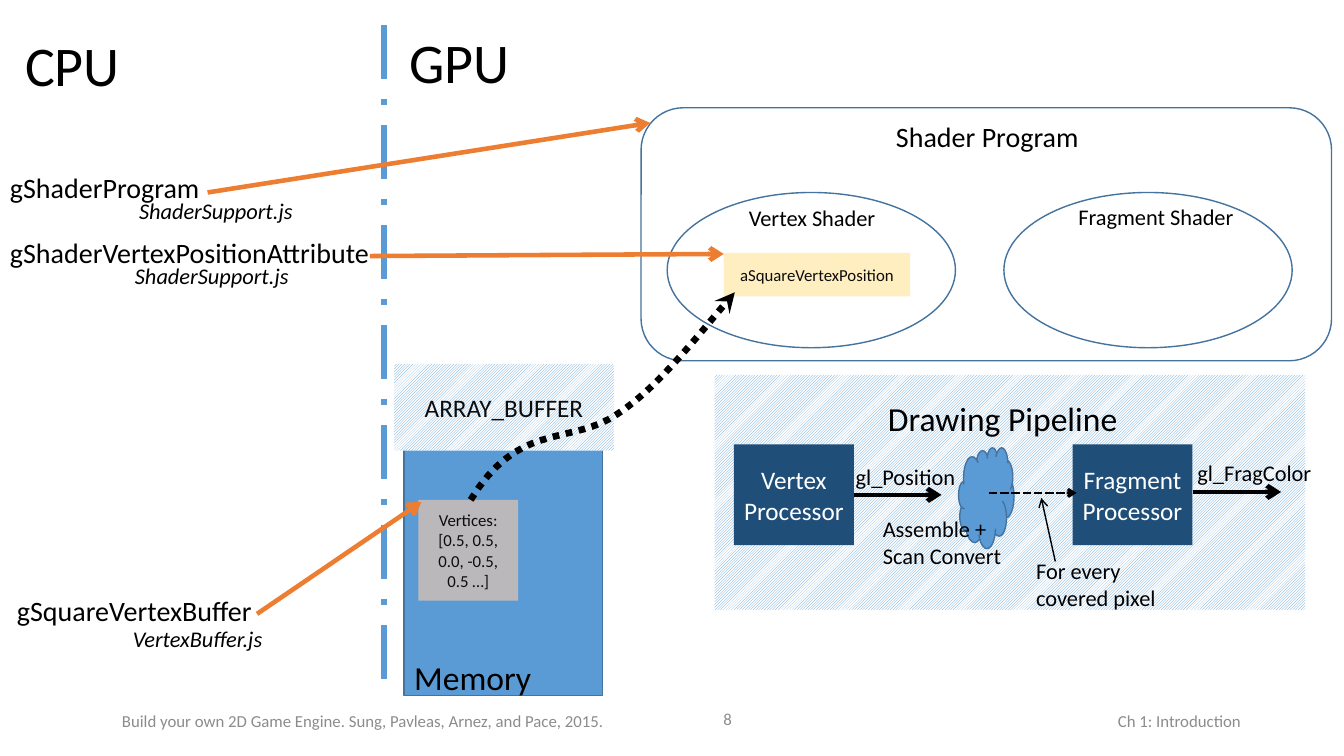
import pptx
import pptx.util
import pptx.dml.color
import pptx.enum.dml
import pptx.enum.shapes
import pptx.enum.text
import pptx.oxml.ns
import lxml.etree

Pt = pptx.util.Pt
qn = pptx.oxml.ns.qn
color = pptx.dml.color.RGBColor.from_string
KIND = pptx.enum.shapes.MSO_SHAPE
DASH = pptx.enum.dml.MSO_LINE
ALIGN = pptx.enum.text.PP_ALIGN
MIDDLE = pptx.enum.text.MSO_ANCHOR.MIDDLE


def write(shape, text, size, hex_color, align=ALIGN.LEFT, italic=False):
    frame = shape.text_frame
    frame.word_wrap = True
    frame.text = text
    for paragraph in frame.paragraphs:
        paragraph.alignment = align
        for run in paragraph.runs:
            run.font.name = "Calibri"
            run.font.size = Pt(size)
            run.font.italic = italic
            run.font.color.rgb = color(hex_color)


def stroke(shape, hex_color, width, dash=None, head=None):
    shape.line.color.rgb = color(hex_color)
    shape.line.width = Pt(width)
    if dash is not None:
        shape.line.dash_style = dash
    if head:
        outline = shape._element.spPr.find(qn("a:ln"))
        lxml.etree.SubElement(outline, qn("a:tailEnd"), type=head)


deck = pptx.Presentation()
deck.slide_width = Pt(960)
deck.slide_height = Pt(540)
slide = deck.slides.add_slide(deck.slide_layouts[6])

BLUE, EDGE, NAVY, ORANGE = "5B9BD5", "43739E", "1F4E79", "ED7D31"
BLACK, NEAR_BLACK, WHITE, GRAY = "000000", "0D0D0D", "FFFFFF", "8C8C8C"

footers = [
    ("Ch 1: Introduction", 547.2, 500.4, 346.3, ALIGN.RIGHT),
    ("Build your own 2D Game Engine. Sung, Pavleas, Arnez, and Pace, 2015.", 80, 500.4, 363.6, ALIGN.LEFT),
    ("8", 444.2, 499, 85.7, ALIGN.RIGHT),
]
for text, left, top, width, align in footers:
    footer = slide.shapes.add_textbox(Pt(left), Pt(top), Pt(width), Pt(28.8))
    footer.text_frame.vertical_anchor = MIDDLE
    write(footer, text, 12, GRAY, align)

blocks = [
    (KIND.RECTANGLE, 288.7, 317.5, 141.8, 179.3, BLUE, EDGE, "", 18, WHITE),
    (KIND.RECTANGLE, 298.8, 357.1, 71.3, 72, "F8CBAD", None, "Vertices: [0.5, 0.5, 0.0, -0.5, 0.5 …]", 12, NEAR_BLACK),
    (KIND.RECTANGLE, 281.5, 260, 157, 61.9, "pattern", None, "ARRAY_BUFFER", 18, NEAR_BLACK),
    (KIND.RECTANGLE, 510.5, 267.8, 421.9, 167.8, "pattern", None, "", 18, NEAR_BLACK),
    (KIND.RECTANGLE, 524.2, 317.5, 85.7, 72, NAVY, None, "Vertex Processor", 18, WHITE),
    (KIND.RECTANGLE, 766.1, 317.5, 85.7, 72, NAVY, None, "Fragment Processor", 18, WHITE),
    (KIND.CLOUD, 684.7, 319.7, 39.6, 72, BLUE, EDGE, "", 18, WHITE),
    (KIND.OVAL, 476.6, 137.5, 205.9, 110.9, None, EDGE, "", 18, BLACK),
    (KIND.RECTANGLE, 517, 180.7, 133.2, 31, "FFE699", None, "aSquareVertexPosition", 12, NEAR_BLACK),
    (KIND.OVAL, 717.1, 137.5, 205.9, 110.9, None, EDGE, "", 18, BLACK),
    (KIND.ROUNDED_RECTANGLE, 457.9, 77, 493.2, 180.7, None, EDGE, "", 18, BLACK),
]
translucent = ("F8CBAD", "FFE699")
for kind, left, top, width, height, fill, edge, text, size, ink in blocks:
    block = slide.shapes.add_shape(kind, Pt(left), Pt(top), Pt(width), Pt(height))
    block.shadow.inherit = False
    if fill is None:
        block.fill.background()
    elif fill == "pattern":
        block.fill.patterned()
        block.fill.pattern = pptx.enum.dml.MSO_PATTERN.DARK_UPWARD_DIAGONAL
        block.fill.fore_color.rgb = color(BLUE)
        block.fill.back_color.rgb = color(WHITE)
    else:
        block.fill.solid()
        block.fill.fore_color.rgb = color(fill)
    if fill in translucent:
        tint = block._element.spPr.find(qn("a:solidFill")).find(qn("a:srgbClr"))
        lxml.etree.SubElement(tint, qn("a:alpha"), val="61000")
    if edge:
        stroke(block, edge, 1)
    else:
        block.line.fill.background()
    if text:
        block.text_frame.vertical_anchor = MIDDLE
        write(block, text, size, ink, ALIGN.CENTER)

links = [
    (274.3, 18, 274.3, 497.5, BLUE, 4.75, DASH.LONG_DASH_DOT, None),
    (183.6, 438.5, 301, 358.6, ORANGE, 3.25, None, "arrow"),
    (609.8, 353.5, 672.5, 353.5, BLACK, 3.25, None, "arrow"),
    (852.5, 351.4, 915.1, 351.4, BLACK, 3.25, None, "arrow"),
    (706.3, 352.1, 769, 352.1, BLACK, 2, DASH.SQUARE_DOT, "arrow"),
    (753.8, 401, 743.8, 355.7, BLACK, 1, None, "arrow"),
    (148.3, 137.5, 464.4, 87.8, ORANGE, 3.25, None, "arrow"),
    (264.2, 182.9, 517, 181.4, ORANGE, 3.25, None, "arrow"),
]
for x1, y1, x2, y2, ink, width, dash, head in links:
    link = slide.shapes.add_connector(
        pptx.enum.shapes.MSO_CONNECTOR.STRAIGHT, Pt(x1), Pt(y1), Pt(x2), Pt(y2))
    stroke(link, ink, width, dash, head)
    lxml.etree.SubElement(link._element.spPr, qn("a:effectLst"))

labels = [
    ("Memory", 288.7, 465.8, 190, 36, 24, False),
    ("CPU", 10.8, 18, 190, 55.4, 40, False),
    ("GPU", 285.1, 15.8, 190, 55.4, 40, False),
    ("gSquareVertexBuffer", 5, 420.5, 190, 31.7, 20, False),
    ("Drawing Pipeline", 627.1, 280.8, 190, 36, 24, False),
    ("gl_Position", 604.1, 327.6, 190, 26.6, 16, False),
    ("gl_FragColor", 848.2, 324.7, 97.9, 26.6, 16, False),
    ("Assemble +\nScan Convert", 623.5, 364.3, 190, 46, 16, False),
    ("For every\ncovered pixel", 733, 394.6, 190, 46, 16, False),
    ("Vertex Shader", 527.8, 142.6, 113.8, 26.6, 16, False),
    ("Fragment Shader", 763.2, 141.8, 133.2, 26.6, 16, False),
    ("Shader Program", 632.9, 82.1, 180.7, 31.7, 20, False),
    ("gShaderVertexPositionAttribute", 0, 164.9, 279.4, 31.7, 20, False),
    ("gShaderProgram", 0, 118.1, 279.4, 31.7, 20, False),
    ("ShaderSupport.js", 92.2, 137.5, 190, 26.6, 16, True),
    ("ShaderSupport.js", 89.3, 183.6, 190, 26.6, 16, True),
    ("VertexBuffer.js", 87.8, 442.8, 190, 26.6, 16, True),
]
for text, left, top, width, height, size, italic in labels:
    label = slide.shapes.add_textbox(Pt(left), Pt(top), Pt(width), Pt(height))
    write(label, text, size, BLACK, italic=italic)

bends = [
    ((336.2, 357.1), (368.6, 303.8), (402.5, 316.8), (434.9, 299.5)),
    ((434.9, 299.5), (466.6, 281.5), (494.6, 244.1), (524.9, 208.8)),
]
steps = 16
route = []
for bend in bends:
    for step in range(1, steps + 1):
        t = step / steps
        weights = ((1 - t) ** 3, 3 * t * (1 - t) ** 2, 3 * t ** 2 * (1 - t), t ** 3)
        route.append(tuple(
            Pt(sum(w * point[axis] for w, point in zip(weights, bend))) for axis in (0, 1)))
builder = slide.shapes.build_freeform(Pt(bends[0][0][0]), Pt(bends[0][0][1]))
builder.add_line_segments(route, close=False)
data_flow = builder.convert_to_shape()
data_flow.shadow.inherit = False
data_flow.fill.background()
stroke(data_flow, BLACK, 4.75, DASH.ROUND_DOT, "stealth")

deck.save("out.pptx")
